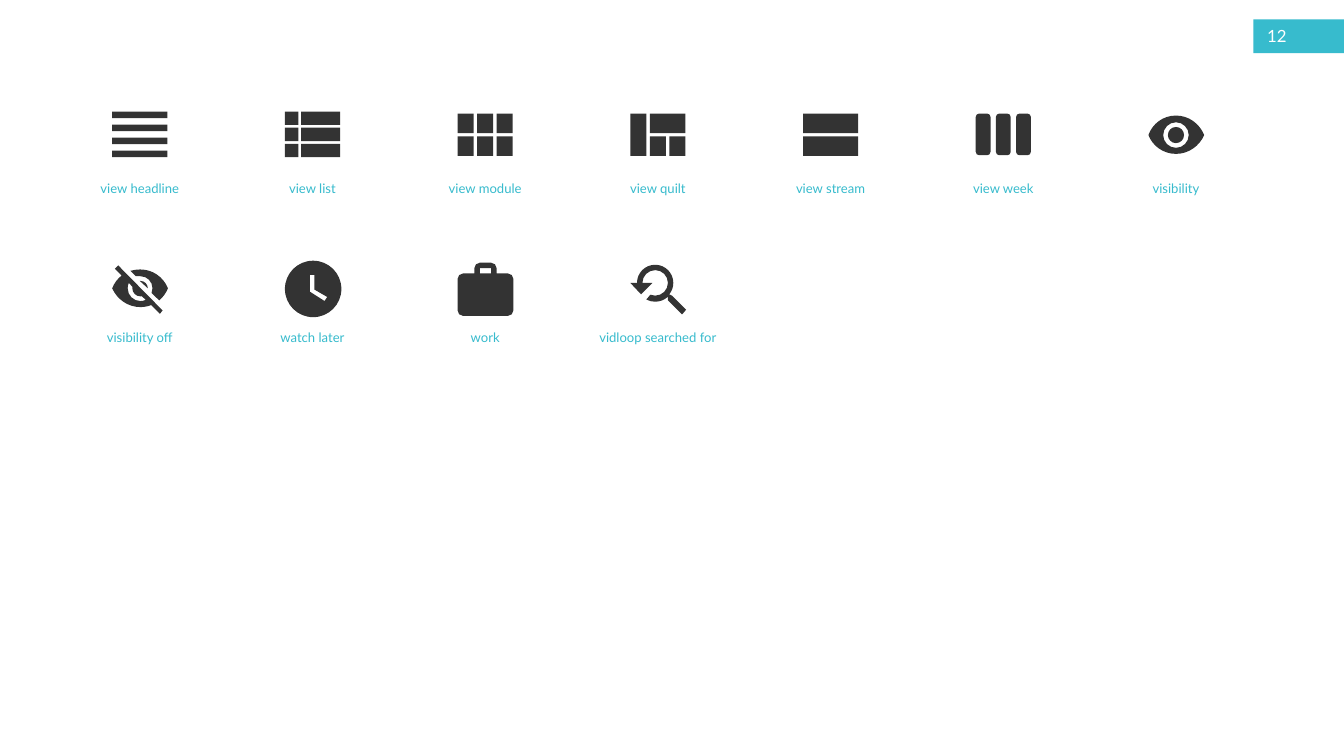
"""Build the icon sheet slide with its labels and page tag."""
from math import cos, radians, sin, tan

from lxml.etree import SubElement
from pptx import Presentation
from pptx.dml.color import RGBColor
from pptx.enum.shapes import MSO_SHAPE
from pptx.enum.text import MSO_ANCHOR, PP_ALIGN
from pptx.oxml.ns import qn
from pptx.util import Inches, Pt


def paint(target, code):
    if hasattr(target, "solid"):
        target.solid()
        target = target.fore_color
    target.rgb = RGBColor.from_string(code)


def apply(target, values):
    for name, value in values.items():
        setattr(target, name, value)


def box(x, y, w, h):
    return [(x, y), (x + w, y), (x + w, y + h), (x, y + h)]


def arc(x, y, r, start, end):
    low, high = sorted((start, end))
    cuts = [low] + [a for a in range(-360, 721, 90) if low < a < high] + [high]
    if start > end:
        cuts.reverse()
    steps = [(x + r * cos(radians(start)), y + r * sin(radians(start)))]
    for a, b in zip(map(radians, cuts), map(radians, cuts[1:])):
        k = 4 / 3 * tan((b - a) / 4)
        steps.append((x + r * (cos(a) - k * sin(a)), y + r * (sin(a) + k * cos(a)),
                      x + r * (cos(b) + k * sin(b)), y + r * (sin(b) - k * cos(b)),
                      x + r * cos(b), y + r * sin(b)))
    return steps


def disc(x, y, r):
    return arc(x, y, r, 0, 360)


def pill(x, y, w, h, r):
    return (arc(x + r, y + r, r, 180, 270) + arc(x + w - r, y + r, r, 270, 360)
            + arc(x + w - r, y + h - r, r, 0, 90) + arc(x + r, y + h - r, r, 90, 180))


def eye():
    rim = [(0, 0.43), (0.06, 0.26, 0.22, 0.14, 0.41, 0.14),
           (0.6, 0.14, 0.76, 0.26, 0.83, 0.43),
           (0.76, 0.59, 0.6, 0.71, 0.41, 0.71), (0.22, 0.71, 0.06, 0.59, 0, 0.43)]
    return [rim, disc(0.41, 0.43, 0.19), disc(0.41, 0.43, 0.12)]


def hidden():
    mid = (0.42, 0.41)
    right = arc(*mid, 0.18, -90, 23) + [
        (0.7, 0.59), (0.76, 0.54, 0.8, 0.48, 0.83, 0.41),
        (0.76, 0.24, 0.6, 0.13, 0.42, 0.13), (0.36, 0.13, 0.31, 0.14, 0.27, 0.15),
        (0.35, 0.23)]
    left = [(0.04, 0.12), (0.14, 0.22), (0.08, 0.27, 0.03, 0.33, 0, 0.41),
            (0.07, 0.57, 0.23, 0.69, 0.42, 0.69), (0.47, 0.69, 0.53, 0.68, 0.58, 0.66),
            (0.71, 0.79), (0.75, 0.74), (0.09, 0.07)]
    ring = arc(*mid, 0.12, 190, 80) + arc(*mid, 0.19, 65, 205)
    pupil = [(0.41, 0.3), (0.53, 0.41)] + arc(*mid, 0.11, 0, -90)
    return [right, left, ring, pupil]


def clock():
    hands = [(0.59, 0.6), (0.37, 0.46), (0.37, 0.21), (0.44, 0.21), (0.44, 0.43), (0.63, 0.54)]
    return [disc(0.42, 0.42, 0.42), hands]


def case():
    r = 0.08
    body = (arc(r, 0.74, r, 180, 90) + arc(0.75, 0.74, r, 90, 0)
            + arc(0.75, 0.27, r, 0, -90) + [(0.58, 0.19)]
            + arc(0.5, 0.11, r, 0, -90) + arc(0.33, 0.11, r, -90, -180)
            + [(0.25, 0.19)] + arc(r, 0.27, r, -90, -180))
    return [body, box(0.33, 0.11, 0.17, 0.08)]


def search():
    mid = (0.37, 0.33)
    return [[(0.62, 0.52)] + arc(*mid, 0.27, 39, -180)
            + [(0, 0.33), (0.16, 0.5), (0.33, 0.33)]
            + arc(*mid, 0.19, 180, 472) + arc(*mid, 0.28, 118, 48)
            + [(0.56, 0.59), (0.77, 0.8), (0.83, 0.73)]]


class Sheet:
    """Hold the style and the current slide."""

    teal, dark, white, face = "37BBCD", "333333", "FFFFFF", "Lato"

    def __init__(self, deck):
        self.slide = deck.slides.add_slide(deck.slide_layouts[6])
        paint(self.slide.background.fill, self.white)

    def finish(self, shape, code):
        shape.shadow.inherit = False
        paint(shape.fill, code)
        shape.line.fill.background()

    def bar(self, *spot):
        shape = self.slide.shapes.add_shape(MSO_SHAPE.RECTANGLE, *map(Inches, spot))
        self.finish(shape, self.teal)

    def text(self, words, spot, size, code, align=PP_ALIGN.LEFT, anchor=MSO_ANCHOR.TOP):
        frame = self.slide.shapes.add_textbox(*map(Inches, spot)).text_frame
        apply(frame, {"word_wrap": True, "vertical_anchor": anchor})
        para = frame.paragraphs[0]
        para.alignment = align
        run = para.add_run()
        run.text = words
        apply(run.font, {"name": self.face, "size": Pt(size)})
        paint(run.font.color, code)

    def icon(self, x, y, loops):
        scaled = [[tuple(map(Inches, step)) for step in loop] for loop in loops]
        pen = self.slide.shapes.build_freeform(*scaled[0][0])
        for i, loop in enumerate(scaled):
            if i:
                pen.move_to(*loop[0])
            pen.add_line_segments([step[-2:] for step in loop[1:]], close=True)
        shape = pen.convert_to_shape(Inches(x), Inches(y))
        self.bend(shape, scaled)
        self.finish(shape, self.dark)

    def bend(self, shape, loops):
        left, top = (min(step[n] for loop in loops for step in loop) for n in (-2, -1))
        lines = list(shape._element.iter(qn("a:lnTo")))
        steps = [step for loop in loops for step in loop[1:]]
        for line, step in zip(lines, steps):
            if len(step) == 6:
                line.tag = qn("a:cubicBezTo")
                line.remove(line[0])
                for a, b in zip(step[::2], step[1::2]):
                    SubElement(line, qn("a:pt"), x=str(a - left), y=str(b - top))


def main():
    deck = Presentation()
    apply(deck, {"slide_width": Inches(20), "slide_height": Inches(11.25)})
    sheet = Sheet(deck)
    sheet.bar(18.65, 0.29, 1.35, 0.5)
    rows = (0.11, 0.45)
    icons = [
        ("view headline", [box(0, 0.08 + 0.58 * i / 3, 0.82, 0.1) for i in range(4)]),
        ("view list", [box(x, 0.08 + 0.24 * i, w, 0.2)
                       for i in range(3) for x, w in ((0, 0.2), (0.24, 0.58))]),
        ("view module", [box(0.29 * i, y, 0.24, 0.29) for y in rows for i in range(3)]),
        ("view quilt", [box(0, 0.11, 0.24, 0.63), box(0.29, 0.11, 0.53, 0.29)]
         + [box(x, 0.45, 0.24, 0.29) for x in (0.29, 0.58)]),
        ("view stream", [box(0, y, 0.82, 0.29) for y in rows]),
        ("view week", [pill(0.3 * i, 0.11, 0.22, 0.62, 0.05) for i in range(3)]),
        ("visibility", eye()),
        ("visibility off", hidden()),
        ("watch later", clock()),
        ("work", case()),
        ("vidloop searched for", search()),
    ]
    for i, (name, loops) in enumerate(icons):
        row, col = divmod(i, 7)
        left = 2.57 * col
        sheet.icon(1.67 + left, 1.58 + 2.3 * row, loops)
        sheet.text(name, (0.69 + left, 2.64 + 2.22 * row, 2.78, 0.34), 14,
                   sheet.teal, PP_ALIGN.CENTER)
    sheet.text("12", (18.76, 0.28, 0.67, 0.5), 18, sheet.white, anchor=MSO_ANCHOR.MIDDLE)
    deck.save("out.pptx")


if __name__ == "__main__":
    main()
